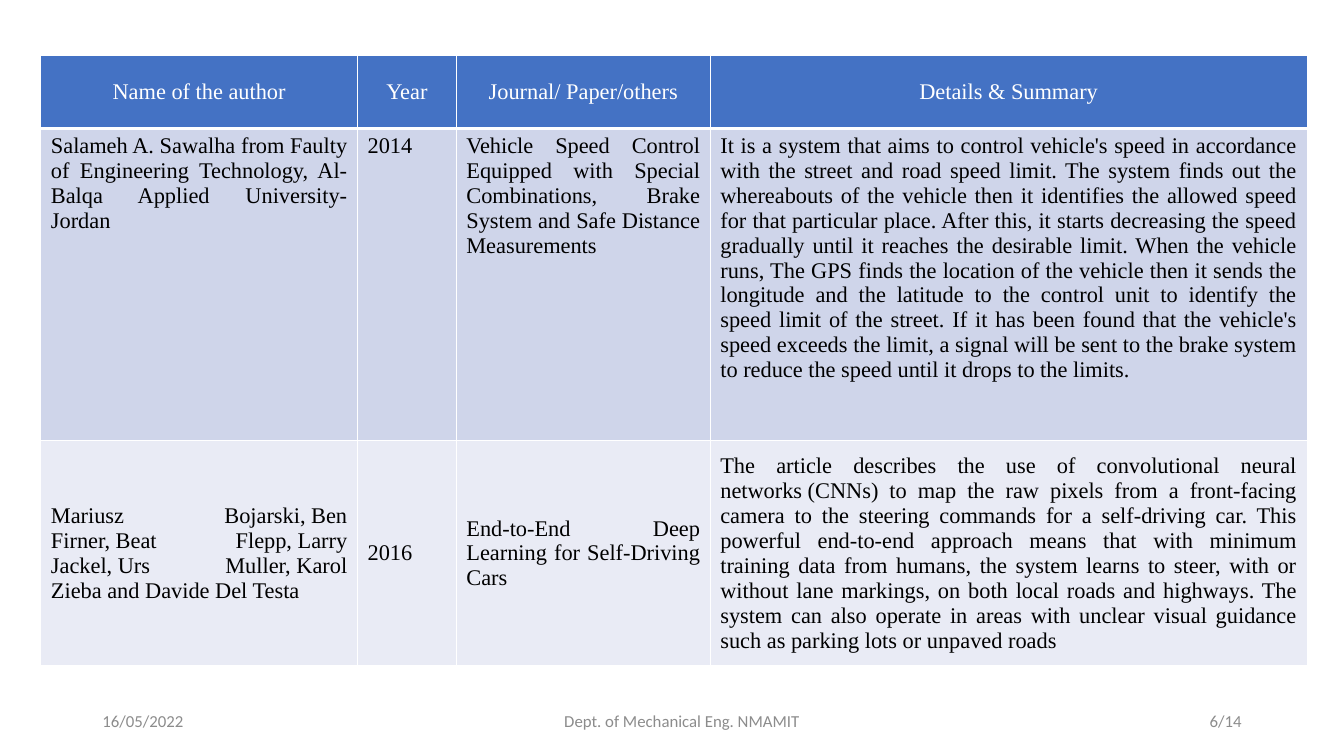
"""Literature survey slide: a four-column table above a footer line."""
from dataclasses import dataclass

from lxml import etree
from pptx import Presentation
from pptx import util as u
from pptx.dml.color import RGBColor
from pptx.enum import text
from pptx.oxml import ns

Align = text.PP_ALIGN


@dataclass(frozen=True)
class Theme:
    serif: str = "Times New Roman"
    sans: str = "Calibri"
    body: int = 16
    small: int = 12
    white: str = "FFFFFF"
    black: str = "000000"
    gray: str = "8C8C8C"
    blue: str = "4472C4"
    band: str = "CFD5EA"
    pale: str = "E9EBF5"


THEME = Theme()


@dataclass(frozen=True)
class Row:
    height: float
    fill: str
    ink: str
    align: Align
    anchor: text.MSO_ANCHOR
    top: int
    bottom: int
    words: tuple[str, ...]


@dataclass(frozen=True)
class Note:
    left: float
    width: float
    align: Align
    words: str


COLS = (7.98, 2.49, 6.4, 15.04)
HARD = chr(160)

ROWS = (
    Row(1.85, THEME.blue, THEME.white, Align.CENTER, text.MSO_ANCHOR.MIDDLE, 1, 3,
        ("Name of the author", "Year", "Journal/ Paper/others", "Details & Summary")),
    Row(7.87, THEME.band, THEME.black, Align.JUSTIFY, text.MSO_ANCHOR.TOP, 3, 1, (
        "Salameh A. Sawalha from Faulty of Engineering Technology, "
        "Al- Balqa Applied University- Jordan",
        "2014",
        "Vehicle Speed Control Equipped with Special Combinations, "
        "Brake System and Safe Distance Measurements",
        "It is a system that aims to control vehicle's speed in accordance with "
        "the street and road speed limit. The system finds out the whereabouts of "
        "the vehicle then it identifies the allowed speed for that particular "
        "place. After this, it starts decreasing the speed gradually until it "
        "reaches the desirable limit. When the vehicle runs, The GPS finds the "
        "location of the vehicle then it sends the longitude and the latitude to "
        "the control unit to identify the speed limit of the street. If it has "
        "been found that the vehicle's speed exceeds the limit, a signal will be "
        "sent to the brake system to reduce the speed until it drops to the limits.",
    )),
    Row(4.27, THEME.pale, THEME.black, Align.JUSTIFY, text.MSO_ANCHOR.MIDDLE, 1, 1, (
        HARD.join(("Mariusz Bojarski,", "Ben Firner,", "Beat Flepp,", "Larry Jackel,",
                   "Urs Muller,", "Karol Zieba", "and", "Davide Del Testa")),
        "2016",
        "End-to-End Deep Learning for Self-Driving Cars",
        "The article describes the use of convolutional neural "
        f"networks{HARD}(CNNs) to "
        "map the raw pixels from a front-facing camera to the steering commands "
        "for a self-driving car. This powerful end-to-end approach means that with "
        "minimum training data from humans, the system learns to steer, with or "
        "without lane markings, on both local roads and highways. The system can "
        "also operate in areas with unclear visual guidance such as parking lots "
        "or unpaved roads",
    )),
)

NOTES = (
    Note(2.33, 7.62, Align.LEFT, "16/05/2022"),
    Note(13.97, 8.36, Align.LEFT, "Dept. of Mechanical Eng. NMAMIT"),
    Note(23.92, 7.62, Align.RIGHT, "6/14"),
)


def write(frame, words: str, align: Align, face: str, size: int, ink: str) -> None:
    """Put one styled paragraph into a text frame."""
    para = frame.paragraphs[0]
    para.text = words
    para.alignment = align
    para.font.name = face
    para.font.size = u.Pt(size)
    para.font.color.rgb = RGBColor.from_string(ink)


def edge(cell, side: str, width: int) -> None:
    """Draw one white border of a cell."""
    props = cell._tc.get_or_add_tcPr()
    line = etree.SubElement(props, ns.qn(f"a:ln{side}"), w=str(u.Pt(width)))
    fill = etree.SubElement(line, ns.qn("a:solidFill"))
    etree.SubElement(fill, ns.qn("a:srgbClr"), val=THEME.white)


def draw_row(table, index: int, row: Row) -> None:
    """Fill one table row."""
    table.rows[index].height = u.Cm(row.height)
    for cell, words in zip(table.rows[index].cells, row.words):
        for side, width in zip("LRTB", (1, 1, row.top, row.bottom)):
            edge(cell, side, width)
        cell.fill.solid()
        cell.fill.fore_color.rgb = RGBColor.from_string(row.fill)
        cell.vertical_anchor = row.anchor
        write(cell.text_frame, words, row.align, THEME.serif, THEME.body, row.ink)


def draw_table(slide) -> None:
    """Add the survey table."""
    high = u.Cm(15.39)
    grid = slide.shapes.add_table(len(ROWS), len(COLS), u.Cm(1.03), u.Cm(1.39),
                                  u.Cm(sum(COLS)), high)
    table = grid.table
    table.first_row = table.horz_banding = False
    for col, width in zip(table.columns, COLS):
        col.width = u.Cm(width)
    for index, row in enumerate(ROWS):
        draw_row(table, index, row)
    grid.height = high


def draw_note(slide, note: Note) -> None:
    """Add one footer text."""
    box = slide.shapes.add_textbox(u.Cm(note.left), u.Cm(17.65),
                                   u.Cm(note.width), u.Cm(1.01))
    frame = box.text_frame
    frame.word_wrap = True
    frame.vertical_anchor = text.MSO_ANCHOR.MIDDLE
    write(frame, note.words, note.align, THEME.sans, THEME.small, THEME.gray)


def main() -> None:
    """Build and save the slide."""
    deck = Presentation()
    deck.slide_width, deck.slide_height = u.Cm(33.87), u.Cm(19.05)
    slide = deck.slides.add_slide(deck.slide_layouts[6])
    for note in NOTES:
        draw_note(slide, note)
    draw_table(slide)
    deck.save("out.pptx")


if __name__ == "__main__":
    main()
